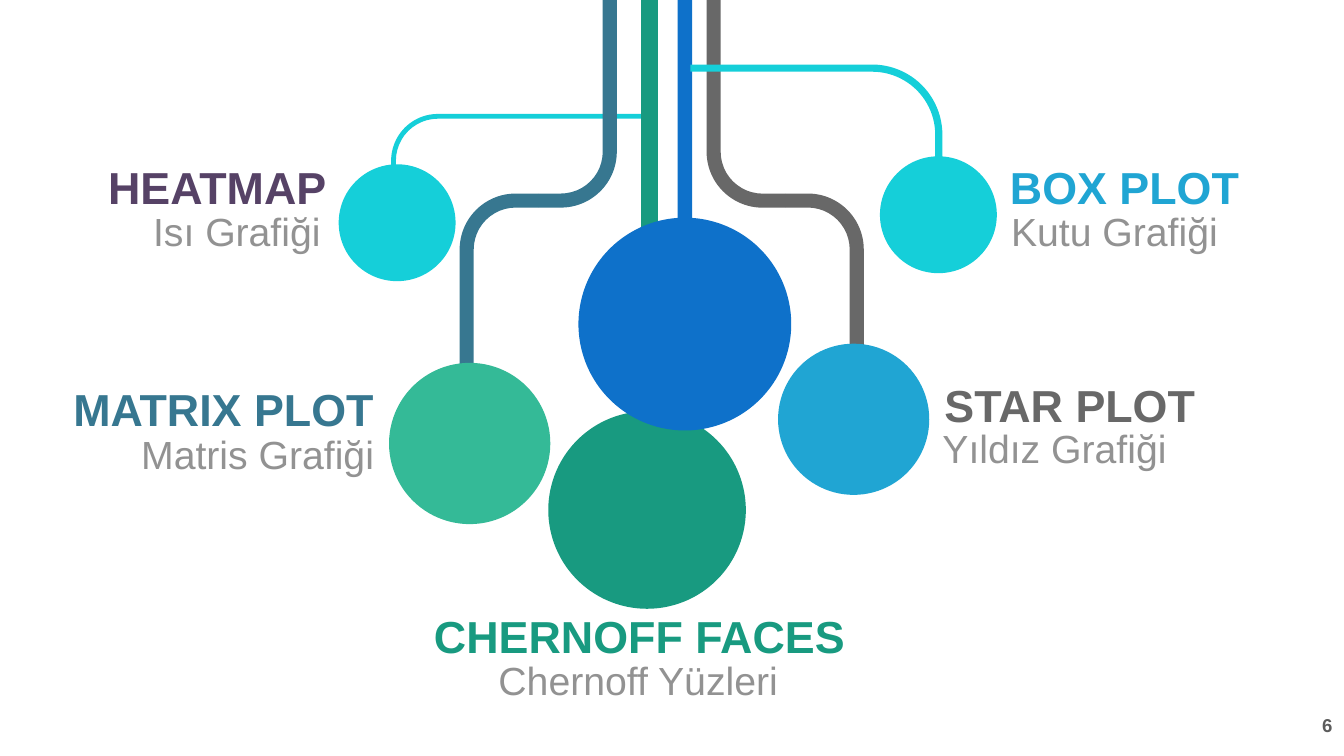
import pptx
import pptx.util
import pptx.dml.color
import pptx.enum.shapes
import pptx.enum.text

Pt = pptx.util.Pt
RGBColor = pptx.dml.color.RGBColor
SHAPE = pptx.enum.shapes.MSO_SHAPE
ALIGN = pptx.enum.text.PP_ALIGN
FIT = pptx.enum.text.MSO_AUTO_SIZE

CYAN = RGBColor(0x15, 0xCF, 0xD9)
GREY = RGBColor(0x68, 0x68, 0x68)
GREEN = RGBColor(0x18, 0x9A, 0x80)
MINT = RGBColor(0x34, 0xBA, 0x97)
BLUE = RGBColor(0x0E, 0x71, 0xCA)
SKY = RGBColor(0x20, 0xA5, 0xD3)
STEEL = RGBColor(0x37, 0x77, 0x90)
PURPLE = RGBColor(0x56, 0x42, 0x66)
SUBTITLE_GREY = RGBColor(0x92, 0x92, 0x92)
NUMBER_GREY = RGBColor(0x5C, 0x5C, 0x5C)

BEND_SIZE = (149, 56.9)
UPPER_TOP, LOWER_TOP = 45.4, 184.3


def add_solid(page, kind, left, top, width, height, colour):
    shape = page.shapes.add_shape(kind, Pt(left), Pt(top), Pt(width), Pt(height))
    shape.shadow.inherit = False
    shape.fill.solid()
    shape.fill.fore_color.rgb = colour
    shape.line.fill.background()
    return shape


def add_bend(page, left, top, size, colour, half_head, rotation=0, flip=None):
    """A pipe with one rounded corner; the arrowhead has no length."""
    bend = add_solid(page, SHAPE.BENT_ARROW, left, top, *size, colour)
    for index, value in enumerate((0.177, half_head, 0, 0.703)):
        bend.adjustments[index] = value
    bend.rotation = rotation
    if flip:
        bend._element.spPr.xfrm.set(flip, "1")


def add_bar(page, centre, width, height, colour):
    add_solid(page, SHAPE.RECTANGLE, centre - width / 2, 0, width, height, colour)


def add_circle(page, centre_x, centre_y, size, colour):
    add_solid(page, SHAPE.OVAL, centre_x - size / 2, centre_y - size / 2,
              size, size, colour)


def add_text(page, text, left, top, width, height, size, colour, align,
             bold=False, wrap=True):
    box = page.shapes.add_textbox(Pt(left), Pt(top), Pt(width), Pt(height))
    frame = box.text_frame
    frame.word_wrap = wrap
    frame.auto_size = FIT.SHAPE_TO_FIT_TEXT
    frame.vertical_anchor = pptx.enum.text.MSO_ANCHOR.MIDDLE
    frame.margin_left = frame.margin_right = 0
    frame.margin_top = frame.margin_bottom = 0
    para = frame.paragraphs[0]
    para.alignment = align
    span = para.add_run()
    span.text = text
    span.font.name = "Arial"
    span.font.size = Pt(size)
    span.font.bold = bold
    span.font.color.rgb = colour
    return para


def add_label(page, heading, heading_place, subtitle, subtitle_place, colour, align):
    left, top, width = heading_place
    para = add_text(page, heading, left, top, width, 38.9, 32, colour, align,
                    bold=True, wrap=False)
    para.space_before = Pt(6.4)
    left, top, width = subtitle_place
    para = add_text(page, subtitle, left, top, width, 33.8, 28, SUBTITLE_GREY, align)
    para.space_before = Pt(5.6)


def main():
    deck = pptx.Presentation()
    deck.slide_width, deck.slide_height = Pt(960), Pt(540)
    page = deck.slides.add_slide(deck.slide_layouts[6])

    # Pipes from the top edge
    add_bend(page, 279.4, 81.4, (180, 47.5), CYAN, 0.036)
    add_bend(page, 514.8, LOWER_TOP, BEND_SIZE, GREY, 0.102, 90)
    add_bend(page, 457.9, UPPER_TOP, BEND_SIZE, GREY, 0.102, 270)
    add_bar(page, 464, 12, 364, GREEN)
    add_bar(page, 489.2, 10.4, 254, BLUE)
    add_bend(page, 281.5, LOWER_TOP, BEND_SIZE, STEEL, 0.102, 90, "flipV")
    add_bend(page, 338.4, UPPER_TOP, BEND_SIZE, STEEL, 0.102, 270, "flipV")
    add_bend(page, 493.2, 46.1, (180, 71.3), CYAN, 0.036, flip="flipH")

    # Circles: centre, diameter, colour
    for circle in (
        (609.8, 299.5, 108, SKY),
        (462.2, 364.3, 141.1, GREEN),
        (489.2, 231.5, 152, BLUE),
        (335.5, 316.8, 115.2, MINT),
        (283.7, 159.1, 83.5, CYAN),
        (670.3, 153.4, 83.5, CYAN),
    ):
        add_circle(page, *circle)

    # Labels: left, top and width of heading and subtitle
    for label in (
        ("BOX PLOT", (721.4, 113.8, 164.9),
         "Kutu Grafiği", (722.2, 148.3, 172.1), SKY, ALIGN.LEFT),
        ("STAR PLOT", (674.6, 269.3, 180.7),
         "Yıldız Grafiği", (673.2, 303.1, 172.1), GREY, ALIGN.LEFT),
        ("MATRIX PLOT", (50.4, 272.2, 216.7),
         "Matris Grafiği", (90, 307.4, 177.1), STEEL, ALIGN.RIGHT),
        ("CHERNOFF FACES", (308.9, 434.9, 295.9),
         "Chernoff Yüzleri", (355.7, 468.7, 200.2), GREEN, ALIGN.CENTER),
        ("HEATMAP", (75.6, 113.8, 157.7),
         "Isı Grafiği", (67.7, 148.3, 161.3), PURPLE, ALIGN.RIGHT),
    ):
        add_label(page, *label)

    # Slide number
    add_text(page, "6", 924, 510.5, 48, 15.3, 13.3, NUMBER_GREY, ALIGN.CENTER,
             bold=True)

    deck.save("out.pptx")


if __name__ == "__main__":
    main()
